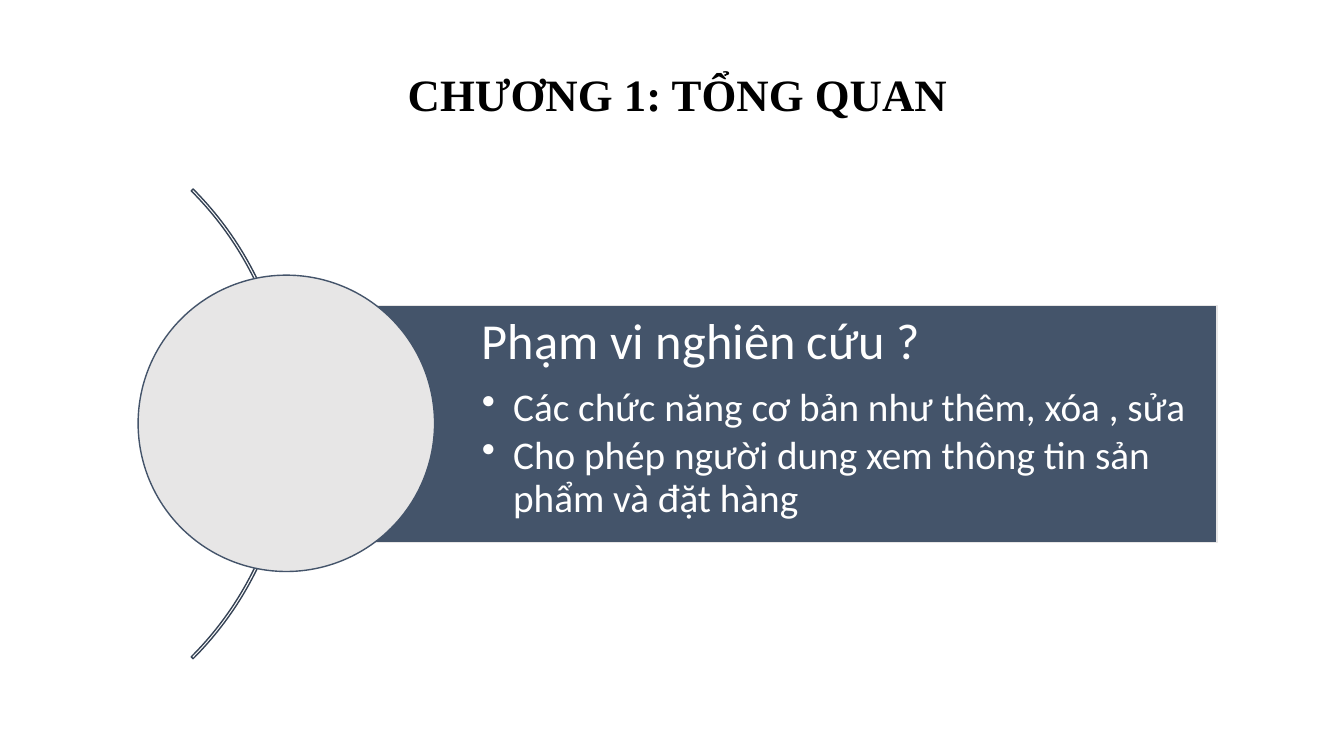
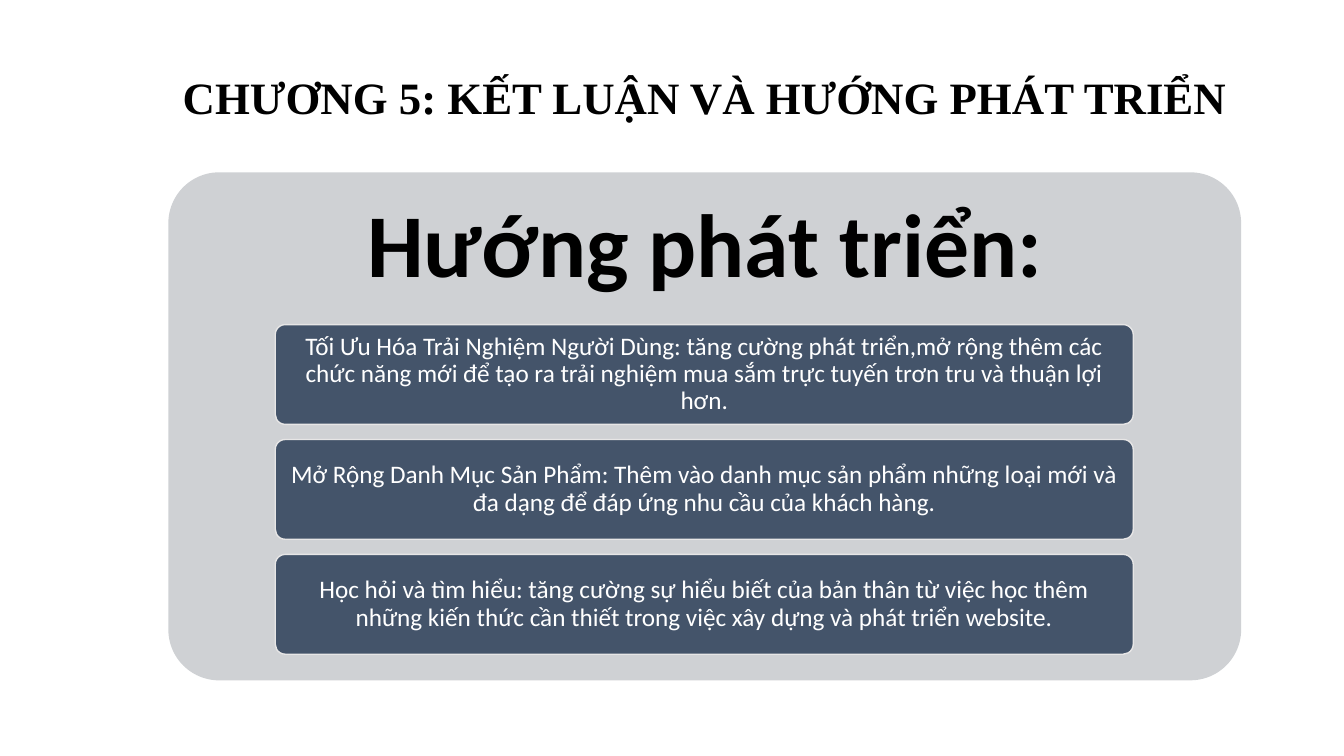
"""Build two chapter slides: research scope and future development."""
from lxml import etree
from pptx import Presentation
from pptx.dml.color import RGBColor
from pptx.enum.shapes import MSO_SHAPE
from pptx.enum.text import MSO_ANCHOR, PP_ALIGN
from pptx.oxml.ns import qn
from pptx.util import Inches, Pt

RECTANGLE = MSO_SHAPE.RECTANGLE
ROUNDED = MSO_SHAPE.ROUNDED_RECTANGLE
OVAL = MSO_SHAPE.OVAL
BLOCK_ARC = MSO_SHAPE.BLOCK_ARC
TOP, MIDDLE, BOTTOM = MSO_ANCHOR.TOP, MSO_ANCHOR.MIDDLE, MSO_ANCHOR.BOTTOM
LEFT, CENTER = PP_ALIGN.LEFT, PP_ALIGN.CENTER

BLACK = RGBColor(0x00, 0x00, 0x00)
WHITE = RGBColor(0xFF, 0xFF, 0xFF)
SLATE = RGBColor(0x44, 0x54, 0x6A)
DARK_SLATE = RGBColor(0x36, 0x43, 0x55)
LIGHT_GRAY = RGBColor(0xE7, 0xE6, 0xE6)
PANEL_GRAY = RGBColor(0xCF, 0xD1, 0xD4)
BODY_FONT = "Calibri"
TITLE_FONT = "Times New Roman"


def add_figure(slide, kind, box, fill=None, line=None, adjustments=()):
    """Add a flat preset shape; a missing fill or line is left empty."""
    shape = slide.shapes.add_shape(kind, *[Inches(length) for length in box])
    shape.shadow.inherit = False
    for index, value in enumerate(adjustments):
        shape.adjustments[index] = value
    if fill is None:
        shape.fill.background()
    else:
        shape.fill.solid()
        shape.fill.fore_color.rgb = fill
    if line is None:
        shape.line.fill.background()
    else:
        shape.line.color.rgb = line
        shape.line.width = Pt(1)
    return shape


def write_text(shape, lines, color, anchor, align, insets, font=BODY_FONT, bold=False):
    """Write (text, size, space after) lines into a shape."""
    frame = shape.text_frame
    frame.word_wrap = True
    frame.vertical_anchor = anchor
    (frame.margin_left, frame.margin_top,
     frame.margin_right, frame.margin_bottom) = [Inches(inset) for inset in insets]
    frame.text = "\n".join(text for text, size, space in lines)
    for paragraph, (text, size, space) in zip(frame.paragraphs, lines):
        paragraph.alignment = align
        paragraph.line_spacing = 0.9
        paragraph.space_after = Pt(space)
        run_font = paragraph.runs[0].font
        run_font.name = font
        run_font.size = Pt(size)
        run_font.bold = bold
        run_font.color.rgb = color


presentation = Presentation()
presentation.slide_width = Inches(13.33)
presentation.slide_height = Inches(7.5)

titles = [
    ("CHƯƠNG 1: TỔNG QUAN", (1.72, 0.73, 10, 0.52)),
    ("CHƯƠNG 5: KẾT LUẬN VÀ HƯỚNG PHÁT TRIỂN", (1.67, 0.76, 10.64, 0.52)),
]
slides = []
for title, box in titles:
    slide = presentation.slides.add_slide(presentation.slide_layouts[6])
    title_box = slide.shapes.add_textbox(*[Inches(length) for length in box])
    write_text(title_box, [(title, 32, 0)], BLACK, BOTTOM, CENTER,
               (0.1, 0.05, 0.1, 0.05), TITLE_FONT, True)
    slides.append(slide)
scope_slide, development_slide = slides

add_figure(scope_slide, BLOCK_ARC, (-3.71, 0.91, 6.59, 6.59),
           line=DARK_SLATE, adjustments=(189, 27, 0.004))
scope_band = add_figure(scope_slide, RECTANGLE, (2.84, 3.03, 9.23, 2.35), SLATE, LIGHT_GRAY)
scope_lines = [
    ("Phạm vi nghiên cứu ?", 36, 12.6),
    ("Các chức năng cơ bản như thêm, xóa , sửa", 28, 4.2),
    ("Cho phép người dung xem thông tin sản phẩm và đặt hàng", 28, 4.2),
]
write_text(scope_band, scope_lines, WHITE, TOP, LEFT, (1.94, 0.1, 0.1, 0.1))
for paragraph in scope_band.text_frame.paragraphs[1:]:
    properties = paragraph._p.get_or_add_pPr()
    properties.set("marL", str(Inches(0.31)))
    properties.set("indent", str(-Inches(0.31)))
    etree.SubElement(properties, qn("a:buChar"), char="•")
add_figure(scope_slide, OVAL, (1.37, 2.73, 2.94, 2.94), LIGHT_GRAY, SLATE)

add_figure(development_slide, ROUNDED, (1.67, 1.71, 10.64, 5.04), PANEL_GRAY, adjustments=(0.1,))
heading_box = development_slide.shapes.add_textbox(
    Inches(1.67), Inches(1.71), Inches(10.64), Inches(1.51))
write_text(heading_box, [("Hướng phát triển:", 64, 0)], BLACK, MIDDLE, CENTER,
           (0.27, 0.27, 0.27, 0.27), bold=True)
directions = [
    "Tối Ưu Hóa Trải Nghiệm Người Dùng: tăng cường phát triển,mở rộng thêm các chức năng mới "
    "để tạo ra trải nghiệm mua sắm trực tuyến trơn tru và thuận lợi hơn.",
    "Mở Rộng Danh Mục Sản Phẩm: Thêm vào danh mục sản phẩm những loại mới và đa dạng "
    "để đáp ứng nhu cầu của khách hàng.",
    "Học hỏi và tìm hiểu: tăng cường sự hiểu biết của bản thân từ việc học thêm những "
    "kiến thức cần thiết trong việc xây dựng và phát triển website.",
]
for index, direction in enumerate(directions):
    card = add_figure(development_slide, ROUNDED, (2.73, 3.22 + 1.14 * index, 8.51, 0.99),
                      SLATE, LIGHT_GRAY, (0.1,))
    write_text(card, [(direction, 18, 0)], WHITE, MIDDLE, CENTER, (0.05, 0.04, 0.05, 0.04))

presentation.save("out.pptx")
